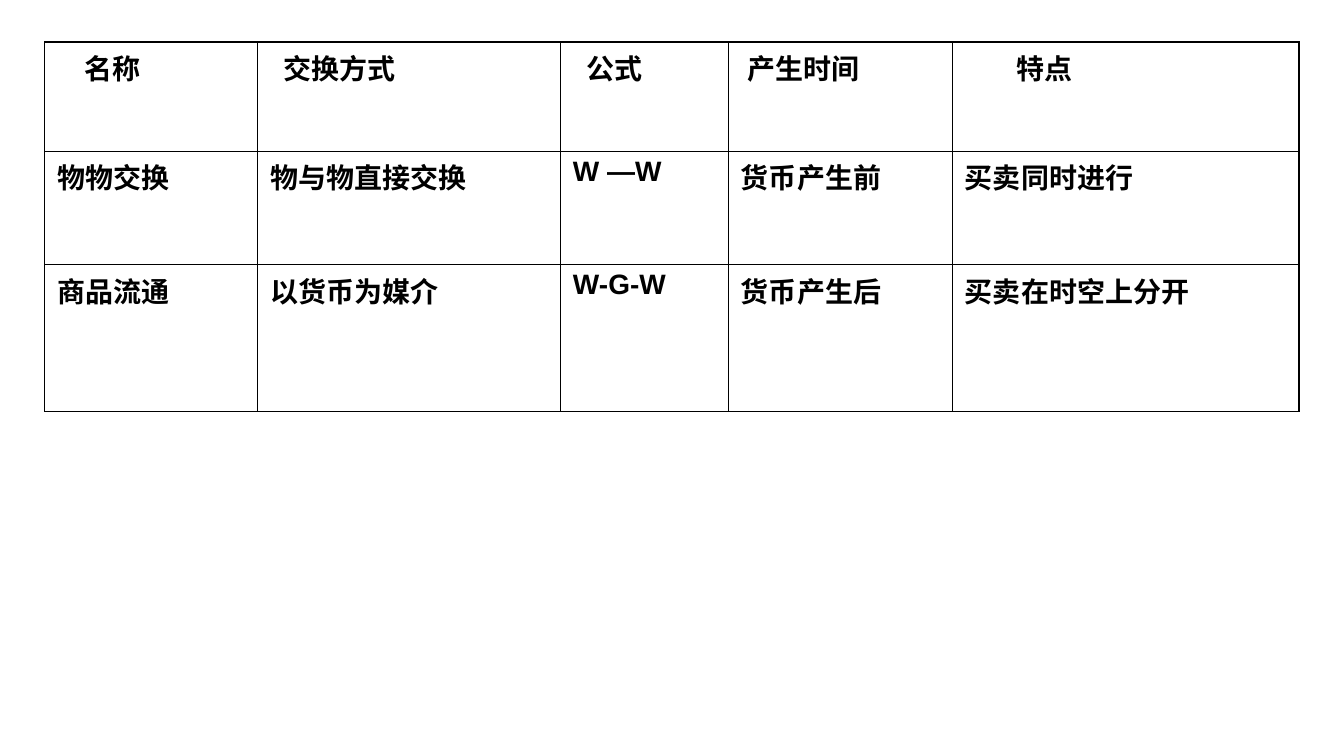
from lxml.etree import SubElement
from pptx import Presentation
from pptx.dml.color import RGBColor as Color
from pptx.oxml.ns import qn
from pptx.util import Inches, Pt

COLORS = {"ink": "000000", "paper": "FFFFFF"}
GRID_COLUMNS, GRID_ROWS = 120, 180
THIN, THICK = 0.45, 1.08

COLUMN_SPANS = [19, 27, 15, 20, 31]
ROW_SPANS = [26, 27, 35]
HEADER_INDENTS = [0.26, 0.13, 0.13, 0.06, 0.51]
EXCHANGE_ROWS = [
    ["名称", "交换方式", "公式", "产生时间", "特点"],
    ["物物交换", "物与物直接交换", "W —W", "货币产生前", "买卖同时进行"],
    ["商品流通", "以货币为媒介", "W-G-W", "货币产生后", "买卖在时空上分开"],
]


def write_text(frame, text, font="Arial", size=20, bold=True, color="ink", indent=0):
    para = frame.paragraphs[0]
    if indent:
        para._p.get_or_add_pPr().set("marL", str(Inches(indent)))
    span = para.add_run()
    span.text = text
    span.font.name = font
    span.font.size = Pt(size)
    span.font.bold = bold
    span.font.color.rgb = Color.from_string(COLORS[color])


class Page:
    """One slide measured in grid columns and rows."""

    def __init__(self, deck):
        self.slide = deck.slides.add_slide(deck.slide_layouts[6])
        self.column = deck.slide_width / GRID_COLUMNS
        self.row = deck.slide_height / GRID_ROWS

    def border(self, cell, side, width):
        properties = cell._tc.get_or_add_tcPr()
        line = SubElement(properties, qn(f"a:ln{side}"), w=str(Pt(width)))
        fill = SubElement(line, qn("a:solidFill"))
        SubElement(fill, qn("a:srgbClr"), val=COLORS["ink"])

    def style_cell(self, cell, edges):
        """Set margins, borders and fill; edges names the sides on the table's rim."""
        cell.margin_left = cell.margin_right = Inches(0.13)
        cell.margin_top = cell.margin_bottom = Inches(0.05)
        for side in "LRTB":
            self.border(cell, side, THICK if side in edges else THIN)
        cell.fill.solid()
        cell.fill.fore_color.rgb = Color.from_string(COLORS["paper"])

    def table(self, left, top, column_spans, row_spans, texts, header_indents):
        last_row, last_column = len(row_spans) - 1, len(column_spans) - 1
        table = self.slide.shapes.add_table(
            len(row_spans), len(column_spans),
            round(left * self.column), round(top * self.row),
            round(sum(column_spans) * self.column), round(sum(row_spans) * self.row),
        ).table
        table.first_row = table.horz_banding = False
        for column, span in zip(table.columns, column_spans):
            column.width = round(span * self.column)
        for row, span in zip(table.rows, row_spans):
            row.height = round(span * self.row)
        for r, row_texts in enumerate(texts):
            for c, text in enumerate(row_texts):
                cell = table.cell(r, c)
                rim = {"L": c == 0, "R": c == last_column, "T": r == 0, "B": r == last_row}
                self.style_cell(cell, [side for side, outer in rim.items() if outer])
                write_text(cell.text_frame, text, indent=header_indents[c] if r == 0 else 0)


def main():
    deck = Presentation()
    deck.slide_width, deck.slide_height = Inches(13.34), Inches(7.5)
    page = Page(deck)
    page.table(4, 10, COLUMN_SPANS, ROW_SPANS, EXCHANGE_ROWS, HEADER_INDENTS)
    deck.save("out.pptx")


if __name__ == "__main__":
    main()
